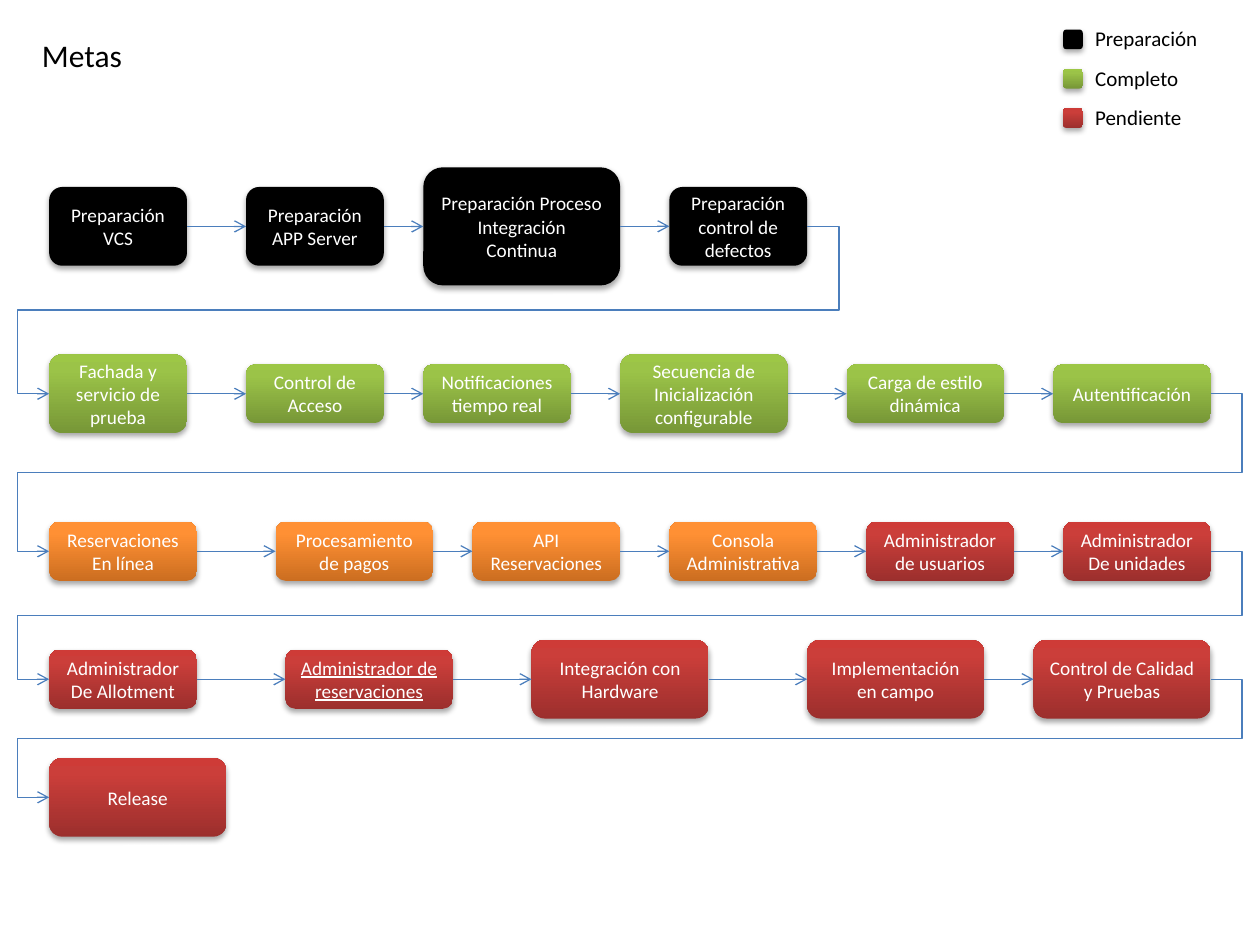
from copy import deepcopy
from dataclasses import dataclass
from itertools import pairwise

from lxml import etree
from pptx import Presentation
from pptx.dml.color import RGBColor
from pptx.enum.shapes import MSO_CONNECTOR, MSO_SHAPE
from pptx.enum.text import MSO_ANCHOR, MSO_AUTO_SIZE, PP_ALIGN
from pptx.oxml import parse_xml
from pptx.oxml.ns import nsdecls, qn
from pptx.util import Cm, Pt

ROUNDED = MSO_SHAPE.ROUNDED_RECTANGLE
ELBOW = MSO_CONNECTOR.ELBOW
MIDDLE = MSO_ANCHOR.MIDDLE
FIT_SHAPE = MSO_AUTO_SIZE.SHAPE_TO_FIT_TEXT
LEFT, CENTER = PP_ALIGN.LEFT, PP_ALIGN.CENTER
LEFT_SITE, RIGHT_SITE = 1, 3
GRID = Cm(25.4) / 128
WRAP_MARGIN = Cm(0.64)


@dataclass(frozen=True)
class Theme:
    font: str = "Calibri"
    title_size: int = 18
    legend_size: int = 12
    goal_size: int = 11
    line_width: float = 0.75
    text: str = "000000"
    goal_text: str = "FFFFFF"
    line: str = "4B7EBC"
    preparation: tuple = ("000000",)
    complete: tuple = ("779737", "9BC348", "9DC746")
    progress: tuple = ("CC6E20", "FF9034", "FF9136")
    pending: tuple = ("9C2F2D", "CB3E3A", "CE3B37")
    stops: tuple = (0, 0.8, 1)


@dataclass(frozen=True)
class Goal:
    text: str
    tone: tuple
    left: int
    width: int
    height: int = 6
    underline: bool = False


def grid(*counts):
    return [round(count * GRID) for count in counts]


def write_text(frame, text, *, font, size, color, align=LEFT, underline=None):
    for index, line in enumerate(text.split("\n")):
        paragraph = frame.add_paragraph() if index else frame.paragraphs[0]
        paragraph.alignment = align
        run = paragraph.add_run()
        run.text = line
        run.font.name = font
        run.font.size = Pt(size)
        run.font.color.rgb = RGBColor.from_string(color)
        run.font.underline = underline


class GoalSlide:
    def __init__(self, slide, theme):
        self.slide = slide
        self.theme = theme

    def label(self, text, left, top, width, height, size):
        box = self.slide.shapes.add_textbox(*grid(left, top, width, height))
        frame = box.text_frame
        frame.word_wrap = False
        frame.auto_size = FIT_SHAPE
        write_text(frame, text, font=self.theme.font, size=size, color=self.theme.text)

    def block(self, tone, left, top, width, height):
        shape = self.slide.shapes.add_shape(ROUNDED, *grid(left, top, width, height))
        shape.line.fill.background()
        self.paint(shape, tone)
        shape.shadow.inherit = False
        effects = shape._element.spPr.find(qn("a:effectLst"))
        effects.append(parse_xml(
            f'<a:outerShdw {nsdecls("a")} blurRad="40000" dist="23000" '
            'dir="5400000" rotWithShape="0"><a:srgbClr val="000000">'
            '<a:alpha val="35000"/></a:srgbClr></a:outerShdw>'))
        return shape

    def paint(self, shape, tone):
        fill = shape.fill
        if len(tone) == 1:
            fill.solid()
            fill.fore_color.rgb = RGBColor.from_string(tone[0])
            return
        fill.gradient()
        fill.gradient_angle = 90
        stop_list = shape._element.spPr.find(qn("a:gradFill")).find(qn("a:gsLst"))
        stop_list.append(deepcopy(stop_list[0]))
        for stop, color, position in zip(fill.gradient_stops, tone, self.theme.stops):
            stop.color.rgb = RGBColor.from_string(color)
            stop.position = position

    def goal(self, goal, center):
        shape = self.block(goal.tone, goal.left, center - goal.height / 2,
                           goal.width, goal.height)
        frame = shape.text_frame
        frame.word_wrap = True
        frame.vertical_anchor = MIDDLE
        write_text(frame, goal.text, font=self.theme.font, size=self.theme.goal_size,
                   color=self.theme.goal_text, align=CENTER,
                   underline=goal.underline or None)
        return shape

    def arrow(self, source, target):
        connector = self.slide.shapes.add_connector(ELBOW, 0, 0, 0, 0)
        connector.begin_connect(source, RIGHT_SITE)
        connector.end_connect(target, LEFT_SITE)
        connector.line.width = Pt(self.theme.line_width)
        connector.line.color.rgb = RGBColor.from_string(self.theme.line)
        properties = connector._element.spPr
        etree.SubElement(properties.find(qn("a:ln")), qn("a:tailEnd"), type="arrow")
        etree.SubElement(properties, qn("a:effectLst"))
        if target.left < source.left:
            self.wrap(connector, properties.find(qn("a:prstGeom")))

    def wrap(self, connector, geometry):
        geometry.set("prst", "bentConnector5")
        adjustments = geometry.find(qn("a:avLst"))
        if adjustments is None:
            adjustments = etree.SubElement(geometry, qn("a:avLst"))
        overshoot = round(WRAP_MARGIN / connector.width * 100000)
        for index, value in enumerate((-overshoot, 50000, 100000 + overshoot), 1):
            etree.SubElement(adjustments, qn("a:gd"), name=f"adj{index}",
                             fmla=f"val {value}")


theme = Theme()
ready, done, doing, pending = (
    theme.preparation, theme.complete, theme.progress, theme.pending)

LEGEND = [("Preparación", ready, 13), ("Completo", done, 11.2), ("Pendiente", pending, 11.5)]
ROWS = [
    (23, [
        Goal("Preparación VCS", ready, 5, 14, 8),
        Goal("Preparación APP Server", ready, 25, 14, 8),
        Goal("Preparación Proceso Integración Continua", ready, 43, 20, 12),
        Goal("Preparación control de defectos", ready, 68, 14, 8),
    ]),
    (40, [
        Goal("Fachada y servicio de prueba", done, 5, 14, 8),
        Goal("Control de Acceso", done, 25, 14),
        Goal("Notificaciones tiempo real", done, 43, 15),
        Goal("Secuencia de Inicialización configurable", done, 63, 17, 8),
        Goal("Carga de estilo dinámica", done, 86, 16),
        Goal("Autentificación", done, 107, 16),
    ]),
    (56, [
        Goal("Reservaciones\nEn línea", doing, 5, 15),
        Goal("Procesamiento de pagos", doing, 28, 16),
        Goal("API Reservaciones", doing, 48, 15),
        Goal("Consola Administrativa", doing, 68, 15),
        Goal("Administrador de usuarios", pending, 88, 15),
        Goal("Administrador\nDe unidades", pending, 108, 15),
    ]),
    (69, [
        Goal("Administrador\nDe Allotment", pending, 5, 15),
        Goal("Administrador de reservaciones", pending, 29, 17, underline=True),
        Goal("Integración con Hardware", pending, 54, 18, 8),
        Goal("Implementación en campo", pending, 82, 18, 8),
        Goal("Control de Calidad y Pruebas", pending, 105, 18, 8),
    ]),
    (81, [Goal("Release", pending, 5, 18, 8)]),
]

presentation = Presentation()
presentation.slide_width = Cm(25.4)
presentation.slide_height = Cm(19.05)
page = GoalSlide(presentation.slides.add_slide(presentation.slide_layouts[6]), theme)

page.label("Metas", 3, 3, 10.8, 5.2, theme.title_size)
for index, (name, tone, width) in enumerate(LEGEND):
    top = 3 + 4 * index
    page.block(tone, 108, top, 2, 2)
    page.label(name, 110, top - 1, width, 3.9, theme.legend_size)

goals = [page.goal(goal, center) for center, row in ROWS for goal in row]
for source, target in pairwise(goals):
    page.arrow(source, target)

presentation.save("out.pptx")
